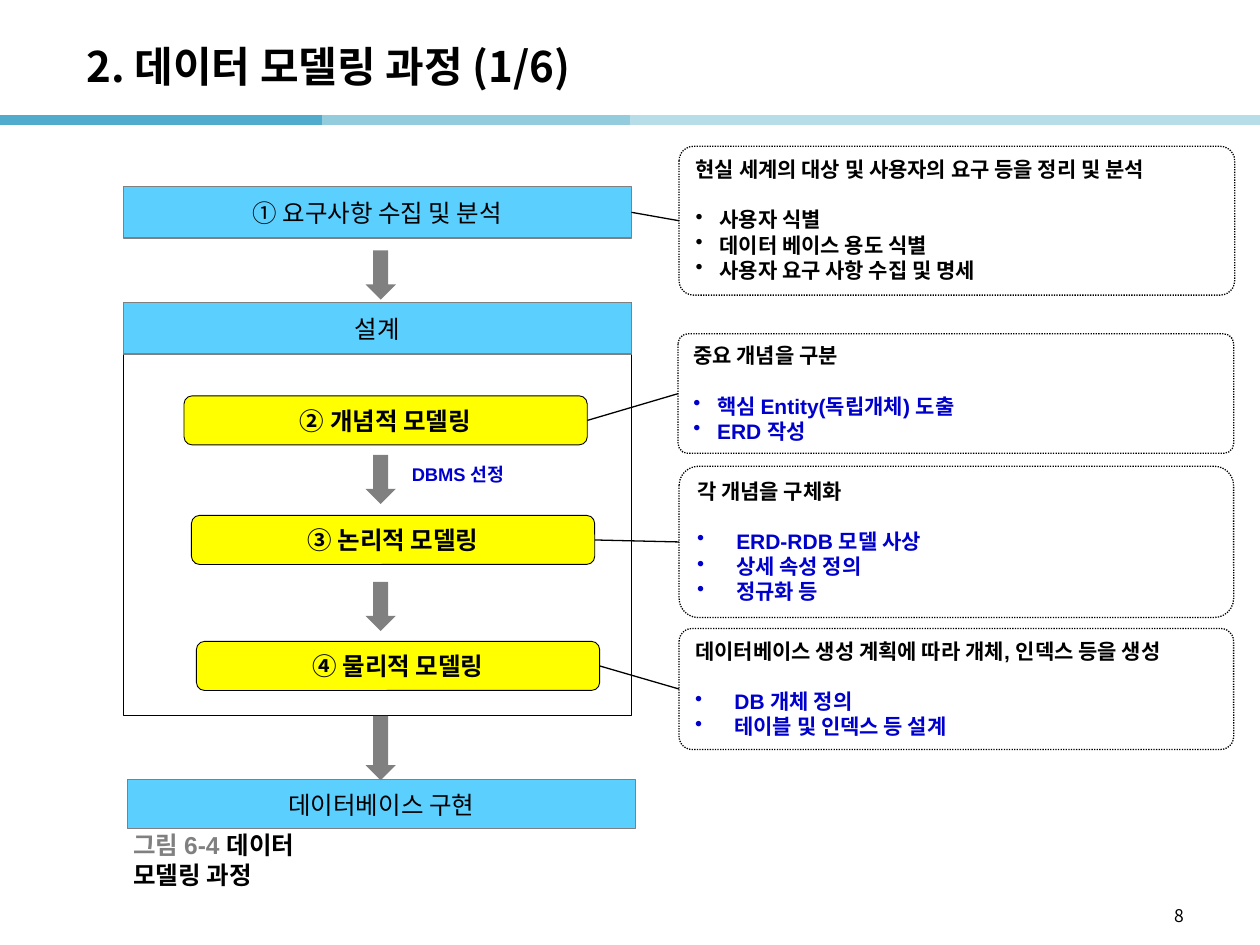
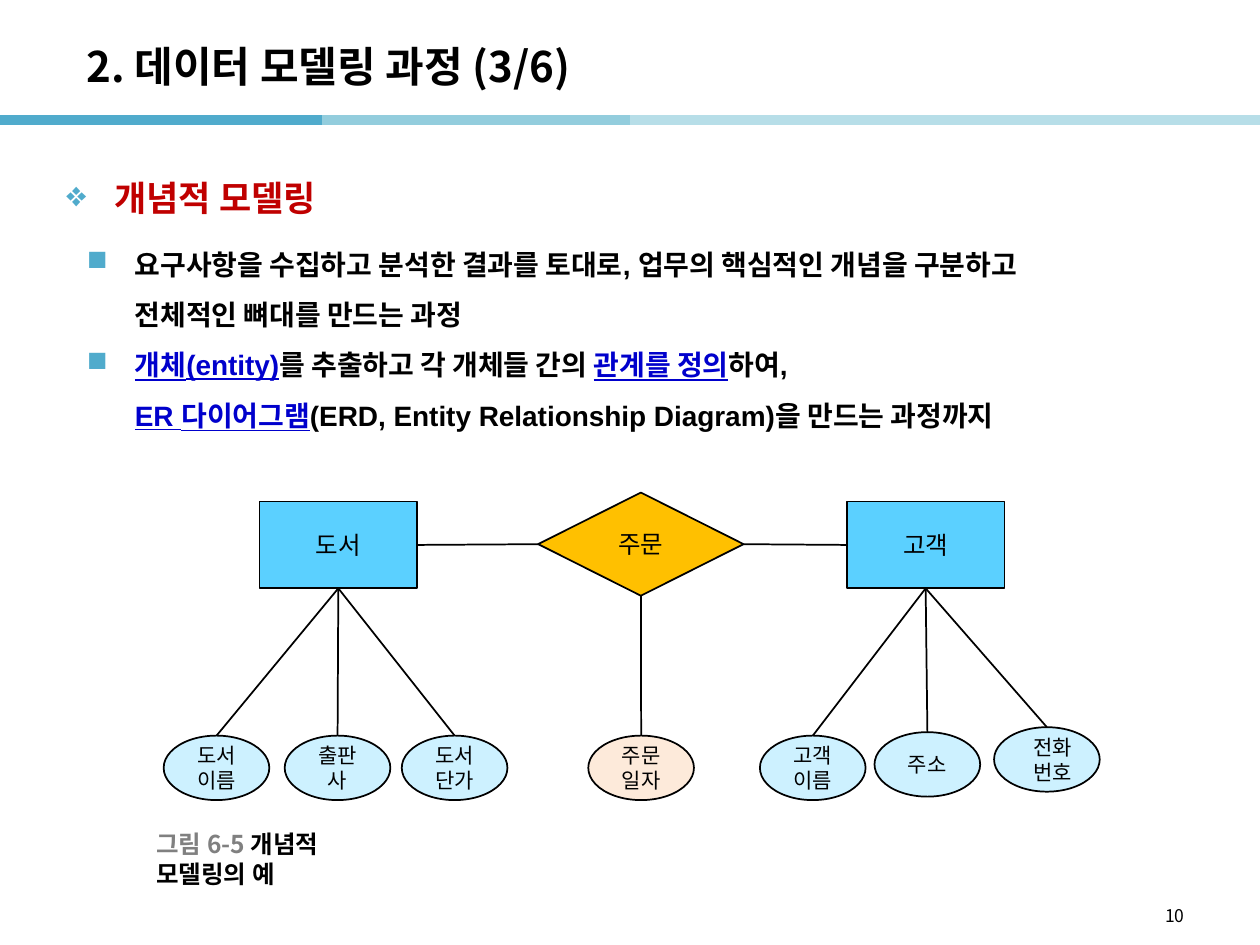
import pptx
import pptx.util
import pptx.dml.color
import pptx.enum.dml
import pptx.enum.shapes
import pptx.enum.text
import pptx.oxml.ns
from lxml import etree

Cm, Pt = pptx.util.Cm, pptx.util.Pt
RGBColor = pptx.dml.color.RGBColor
KIND = pptx.enum.shapes.MSO_SHAPE
ALIGN = pptx.enum.text.PP_ALIGN
ANCHOR = pptx.enum.text.MSO_ANCHOR
qn = pptx.oxml.ns.qn

# Shared colours and fonts
BLACK = RGBColor(0, 0, 0)
WHITE = RGBColor(255, 255, 255)
GREY = RGBColor(0x80, 0x80, 0x80)
SKY = RGBColor(0x5B, 0xD0, 0xFF)
PALE = RGBColor(0xCD, 0xF1, 0xFF)
PEACH = RGBColor(0xFD, 0xEA, 0xDA)
GOLD = RGBColor(0xFF, 0xC0, 0x00)
YELLOW = RGBColor(0xFF, 0xFF, 0x00)
BLUE = RGBColor(0, 0, 0xCC)
RED = RGBColor(0xC0, 0, 0)
TEAL = RGBColor(0x50, 0xAB, 0xCC)
MIST = RGBColor(0xB7, 0xDE, 0xE8)
BANDS = [(0, 6.5, TEAL), (6.5, 13, RGBColor(0x93, 0xCD, 0xDD)),
         (12.7, 19.2, MIST), (18.95, 25.45, MIST)]
ARIAL = "Arial"
NOTO = "Noto Sans CJK KR"


def style(para, size, color=BLACK, bold=False, face=ARIAL, align=None):
    font = para.font
    font.size, font.name, font.bold = Pt(size), face, bold
    if color is not None:
        font.color.rgb = color
    para.alignment = align


def bullet(para, mark, indent, color=None):
    props = para._p.get_or_add_pPr()
    props.set("marL", str(Cm(indent)))
    props.set("indent", str(-Cm(indent)))
    if color is not None:
        tint = etree.SubElement(props, qn("a:buClr"))
        etree.SubElement(tint, qn("a:srgbClr"), val=str(color))
    etree.SubElement(props, qn("a:buChar"), char=mark)


def add_runs(para, parts):
    """Add (text, colour, underline) runs; None stands for a line break."""
    for part in parts:
        if part is None:
            para.add_line_break()
            continue
        run = para.add_run()
        run.text, color, under = part
        run.font.color.rgb = color
        if under:
            run.font.underline = True


def add_text(slide, at, anchor=ANCHOR.TOP, wrap=True):
    frame = slide.shapes.add_textbox(*map(Cm, at)).text_frame
    frame.word_wrap = wrap
    frame.vertical_anchor = anchor
    return frame


def add_label(slide, at, text, size, **look):
    para = add_text(slide, at, ANCHOR.MIDDLE).paragraphs[0]
    para.text = text
    style(para, size, **look)


def add_box(slide, kind, at, fill, line=BLACK, width=1):
    box = slide.shapes.add_shape(kind, *map(Cm, at))
    box.shadow.inherit = False
    box.fill.solid()
    box.fill.fore_color.rgb = fill
    if line is None:
        box.line.fill.background()
    else:
        box.line.color.rgb = line
        box.line.width = Pt(width)
    return box


def add_node(slide, kind, at, fill, text, size=14, line=BLACK, width=1,
             align=ALIGN.CENTER, **look):
    box = add_box(slide, kind, at, fill, line, width)
    box.text_frame.word_wrap = True
    para = box.text_frame.paragraphs[0]
    para.text = text
    style(para, size, align=align, **look)
    return box


def add_line(slide, color, width, ends=(0, 0, 0, 0)):
    line = slide.shapes.add_connector(
        pptx.enum.shapes.MSO_CONNECTOR.STRAIGHT, *map(Cm, ends))
    line.line.color.rgb = color
    line.line.width = Pt(width)
    etree.SubElement(line._element.spPr, qn("a:effectLst"))
    return line


def join(slide, start, side, end, goal, width):
    line = add_line(slide, BLACK, width)
    line.begin_connect(start, side)
    line.end_connect(end, goal)


def add_note(slide, at, round_by, head, items, color, indent):
    """Dotted note with a heading and bullets."""
    box = add_box(slide, KIND.ROUNDED_RECTANGLE, at, WHITE, width=0.75)
    box.adjustments[0] = round_by
    box.line.dash_style = pptx.enum.dml.MSO_LINE.ROUND_DOT
    frame = box.text_frame
    frame.word_wrap = True
    frame.vertical_anchor = ANCHOR.TOP
    para = frame.paragraphs[0]
    para.text = head
    style(para, 12, bold=True, align=ALIGN.LEFT)
    para.space_after = Pt(14.3)
    for item in items:
        para = frame.add_paragraph()
        para.text = item
        bullet(para, "•", indent)
        style(para, 12, color, True, align=ALIGN.LEFT)
    return box


def add_caption(slide, left, top, label, text, face):
    frame = add_text(slide, (left, top, 5.21, 0.79), ANCHOR.MIDDLE, False)
    para = frame.paragraphs[0]
    add_runs(para, [(label + " ", GREY, False), (text, BLACK, False)])
    style(para, 14, None, True, face)


def add_page(deck, part, number):
    """Blank slide with bands, title and page number."""
    slide = deck.slides.add_slide(deck.slide_layouts[6])
    for start, end, color in BANDS:
        add_line(slide, color, 6, (start, 2.42, end, 2.42))
    add_label(slide, (1.5, 0.56, 21.01, 1.52),
              f"2. 데이터 모델링 과정 ({part}/6)", 24, bold=True, face=NOTO)
    add_label(slide, (18.21, 18.11, 5.92, 0.71), str(number), 10,
              face=NOTO, align=ALIGN.RIGHT)
    return slide


def build_flow(deck):
    slide = add_page(deck, 1, 8)

    # Stages
    add_box(slide, KIND.RECTANGLE, (2.49, 6.1, 10.24, 8.33), WHITE, width=0.25)
    stages = [add_node(slide, KIND.RECTANGLE, (left, top, 10.24, high), SKY,
                       text, line=GREY, width=0.75)
              for left, top, high, text in [
                  (2.49, 3.76, 1.04, "① 요구사항 수집 및 분석"),
                  (2.49, 6.1, 1.04, "설계"),
                  (2.57, 15.72, 0.99, "데이터베이스 구현")]]
    models = [add_node(slide, KIND.ROUNDED_RECTANGLE, (left, top, 8.13, 0.99),
                       YELLOW, text, width=0.5, bold=True)
              for left, top, text in [(3.71, 7.98, "② 개념적 모델링"),
                                      (3.86, 10.39, "③ 논리적 모델링"),
                                      (3.96, 12.93, "④ 물리적 모델링")]]
    for top, high in [(5.05, 0.99), (9.17, 0.99), (11.73, 0.99), (14.43, 1.3)]:
        add_box(slide, KIND.DOWN_ARROW, (7.37, top, 0.61, high), GREY, None)
    add_label(slide, (7.95, 9.17, 2.57, 0.76), "DBMS 선정", 10.5,
              color=BLUE, bold=True, align=ALIGN.CENTER)

    # Notes, each joined to its stage
    notes = [
        ((13.69, 2.95, 11.2, 3), 0.097,
         "현실 세계의 대상 및 사용자의 요구 등을 정리 및 분석",
         ["사용자 식별", "데이터 베이스 용도 식별", "사용자 요구 사항 수집 및 명세"],
         BLACK, 0.48),
        ((13.67, 6.73, 11.2, 2.41), 0.082, "중요 개념을 구분",
         ["핵심 Entity(독립개체) 도출", "ERD 작성"], BLUE, 0.48),
        ((13.69, 9.4, 11.18, 3.05), 0.127, "각 개념을 구체화",
         ["ERD-RDB 모델 사상", "상세 속성 정의", "정규화 등"], BLUE, 0.79),
        ((13.69, 12.67, 11.18, 2.44), 0.107,
         "데이터베이스 생성 계획에 따라 개체, 인덱스 등을 생성",
         ["DB 개체 정의", "테이블 및 인덱스 등 설계"], BLUE, 0.79)]
    for stage, note in zip([stages[0], *models], notes):
        join(slide, stage, 3, add_note(slide, *note), 1, 0.75)
    add_caption(slide, 2.44, 16.94, "그림 6-4", "데이터 모델링 과정", ARIAL)


def build_concept(deck):
    slide = add_page(deck, 3, 10)

    # Heading and points
    para = add_text(slide, (1.09, 3.02, 22.4, 1.5)).paragraphs[0]
    para.text = "개념적 모델링"
    bullet(para, "❖", 0.97, TEAL)
    style(para, 20, RED, True)
    para.line_spacing = 1.5
    points = [
        [("요구사항을 수집하고 분석한 결과를 토대로, 업무의 핵심적인 개념을 구분하고",
          BLACK, False), None, ("전체적인 뼈대를 만드는 과정", BLACK, False)],
        [("개체(entity)", BLUE, True),
         ("를 추출하고 각 개체들 간의 ", BLACK, False),
         ("관계를 정의", BLUE, True), ("하여,", BLACK, False), None,
         ("ER 다이어그램", BLUE, True),
         ("(ERD, Entity Relationship Diagram)을 만드는 과정까지", BLACK, False)]]
    frame = add_text(slide, (1.5, 4.52, 22.4, 13.59))
    for index, parts in enumerate(points):
        para = frame.add_paragraph() if index else frame.paragraphs[0]
        add_runs(para, parts)
        bullet(para, "■", 0.97, TEAL)
        style(para, 16, None, True)
        para.line_spacing = 1.5

    # Entities and their relation
    book, buyer = [add_node(slide, KIND.RECTANGLE, (left, 10.11, 3.18, 1.75),
                            SKY, text, face=NOTO)
                   for left, text in [(5.23, "도서"), (17.07, "고객")]]
    order = add_node(slide, KIND.DIAMOND, (10.85, 9.93, 4.14, 2.08), GOLD,
                     "주문", face=NOTO)
    join(slide, book, 3, order, 1, 1)
    join(slide, order, 3, buyer, 1, 1)

    # Attributes
    for owner, left, top, text, fill, align in [
            (book, 3.3, 14.83, "도서이름", PALE, ALIGN.CENTER),
            (book, 5.74, 14.83, "출판사", PALE, ALIGN.CENTER),
            (book, 8.1, 14.83, "도서단가", PALE, ALIGN.CENTER),
            (order, 11.86, 14.83, "주문일자", PEACH, ALIGN.CENTER),
            (buyer, 15.32, 14.83, "고객이름", PALE, ALIGN.CENTER),
            (buyer, 17.63, 14.76, "주소", PALE, ALIGN.CENTER),
            (buyer, 20.04, 14.66, "전화번호", PALE, ALIGN.RIGHT)]:
        oval = add_node(slide, KIND.OVAL, (left, top, 2.13, 1.3), fill, text,
                        12, align=align, face=NOTO)
        join(slide, owner, 2, oval, 0, 1)
    add_caption(slide, 2.9, 16.92, "그림 6-5", "개념적 모델링의 예", NOTO)


def main():
    deck = pptx.Presentation()
    deck.slide_width, deck.slide_height = Cm(25.4), Cm(19.05)
    build_flow(deck)
    build_concept(deck)
    deck.save("out.pptx")


if __name__ == "__main__":
    main()
